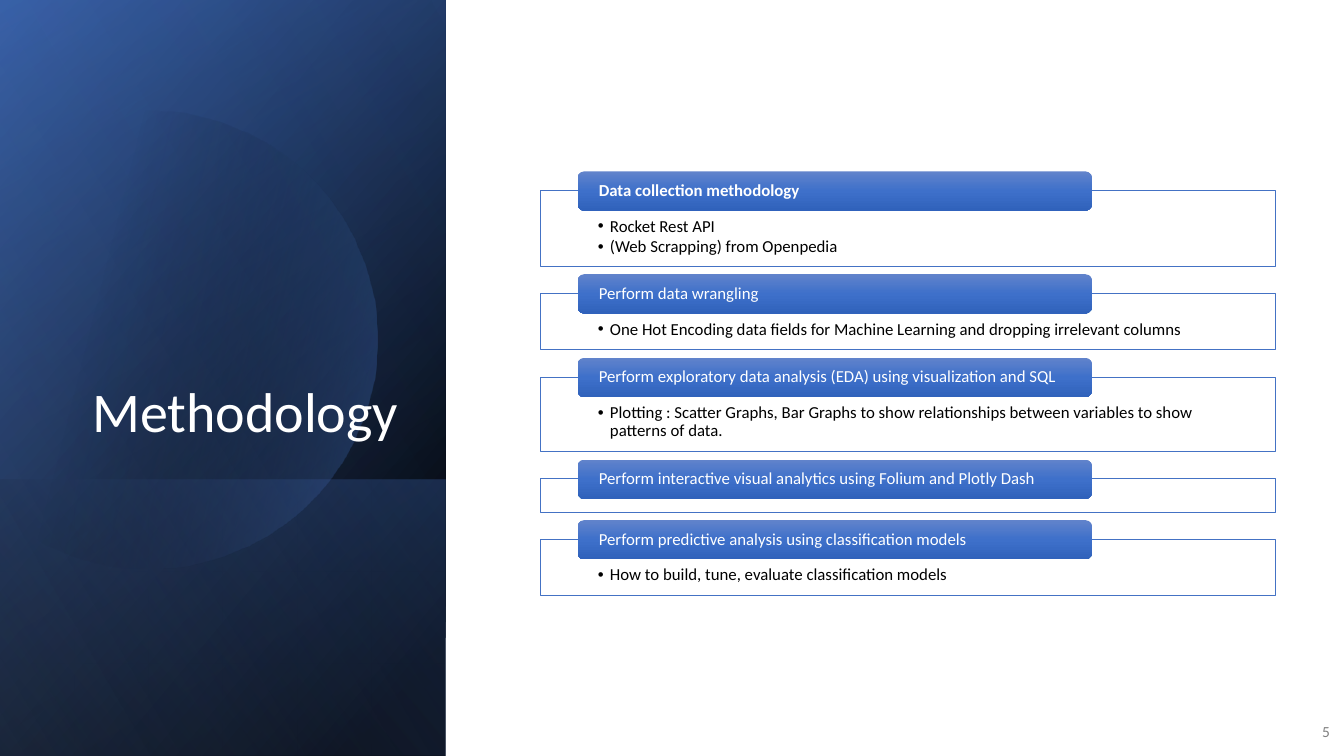
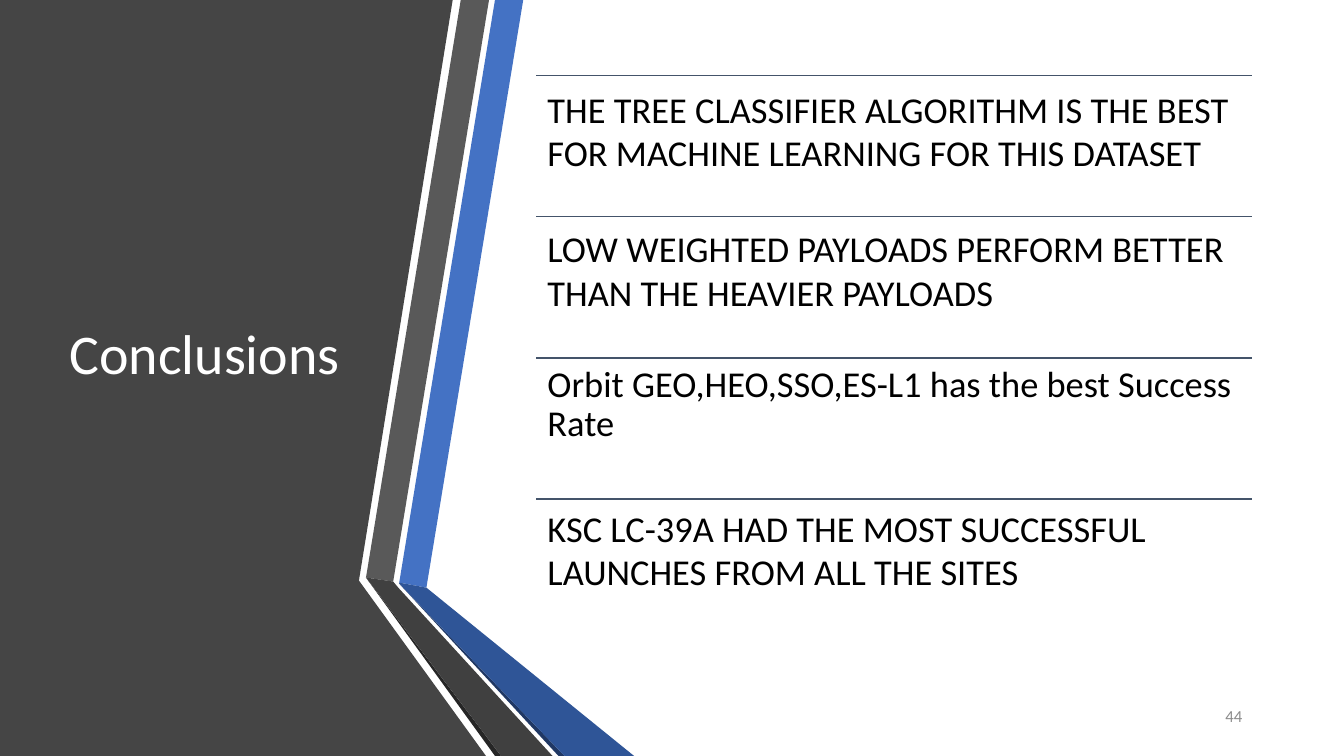
from math import cos, radians, sin

from lxml.etree import SubElement
from pptx import Presentation
from pptx.dml.color import RGBColor
from pptx.enum.shapes import MSO_CONNECTOR, MSO_SHAPE
from pptx.enum.text import MSO_ANCHOR, MSO_AUTO_SIZE, PP_ALIGN
from pptx.oxml.ns import qn
from pptx.util import Emu, Pt

PX = 9144
PX_PER_POINT = 100 / 72
WIDTH, HEIGHT = 1333, 750
FONT = "Calibri"
LINE_HEIGHT = 1.22
WHITE, BLACK, BLUE, NAVY = "FFFFFF", "000000", "4472C4", "2F5597"
TITLE_ONLY, TITLE_AND_BODY = 5, 1

SIDE_WIDTH = 442
SIDE_GRADIENTS = [
    (0, [(8, BLACK, 100), (100, NAVY, 100)], 220),
    (0, [(0, BLACK, 0), (99, BLUE, 46)], 240),
    (476, [(2, BLUE, 29), (100, BLACK, 30)], 140),
]
SIDE_SHEEN = [(0, BLACK, 0), (99, "8FAADC", 11)]
DISC_GRADIENT = [(29, BLACK, 0), (100, BLUE, 43)]
TAB_GRADIENT = [(0, "6183CB", 100), (50, "3E70CA", 100), (100, "3062BB", 100)]

STEPS = [
    ("Data collection methodology", 75, True,
     ["Rocket Rest API", "(Web Scrapping) from Openpedia"]),
    ("Perform data wrangling", 56, False,
     ["One Hot Encoding data fields for Machine Learning and dropping irrelevant columns"]),
    ("Perform exploratory data analysis (EDA) using visualization and SQL", 74, False,
     ["Plotting : Scatter Graphs, Bar Graphs to show relationships between variables "
      "to show patterns of data."]),
    ("Perform interactive visual analytics using Folium and Plotly Dash", 33, False, []),
    ("Perform predictive analysis using classification models", 56, False,
     ["How to build, tune, evaluate classification models"]),
]

RIBBONS = [
    ("454545", [(0, 0), (449, 0), (356, 576), (482, 750), (0, 750)]),
    (BLUE, [(396, 578), (423, 583), (519, 0), (491, 0)]),
    ("595959", [(485, 0), (457, 0), (363, 573), (390, 577)]),
    ("262626", [(363, 573), (491, 750), (497, 750)]),
    ("203864", [(396, 579), (554, 750), (560, 750)]),
    (NAVY, [(396, 578), (396, 579), (560, 750), (629, 750), (423, 583)]),
    ("404040", [(363, 573), (497, 750), (548, 750), (395, 583), (390, 577)]),
]

CONCLUSIONS = [
    ("THE TREE CLASSIFIER ALGORITHM IS THE BEST FOR MACHINE LEARNING FOR THIS DATASET", 1.0),
    ("LOW WEIGHTED PAYLOADS PERFORM BETTER THAN THE HEAVIER PAYLOADS", 1.0),
    ("Orbit GEO,HEO,SSO,ES-L1 has the best Success Rate", 0.9),
    ("KSC LC-39A HAD THE MOST SUCCESSFUL LAUNCHES FROM ALL THE SITES", 1.0),
]


def px(length):
    """Turn a length in px into EMU."""
    return Emu(round(length * PX))


def color(value):
    """Turn a hex string into a colour."""
    return RGBColor.from_string(value)


def assign(target, values):
    """Set each attribute of the target from a dict."""
    for name, value in values.items():
        setattr(target, name, value)


class Deck:
    """Holds the shared style and the current page."""

    def __init__(self):
        """Start an empty wide deck."""
        self.deck = Presentation()
        assign(self.deck, {"slide_width": px(WIDTH), "slide_height": px(HEIGHT)})
        self.page = None

    def add_page(self, layout):
        """Add a page and make it current."""
        self.page = self.deck.slides.add_slide(self.deck.slide_layouts[layout])

    def finish(self, shape, fill=None, gradient=None, angle=0, line=None):
        """Give a shape a flat or gradient fill and a thin line or none."""
        shape.shadow.inherit = False
        if gradient:
            self.blend(shape, gradient, angle)
        else:
            shape.fill.solid()
            shape.fill.fore_color.rgb = color(fill)
        if line:
            shape.line.color.rgb = color(line)
            shape.line.width = Pt(0.5)
        else:
            shape.line.fill.background()
        return shape

    def blend(self, shape, stops, angle):
        """Fill a shape with gradient stops of position, colour and opacity."""
        shape.fill.background()
        properties = shape._element.spPr
        blank = properties.find(qn("a:noFill"))
        gradient = SubElement(properties, qn("a:gradFill"), rotWithShape="1")
        stop_list = SubElement(gradient, qn("a:gsLst"))
        for position, value, opacity in stops:
            stop = SubElement(stop_list, qn("a:gs"), pos=str(position * 1000))
            tone = SubElement(stop, qn("a:srgbClr"), val=value)
            if opacity < 100:
                SubElement(tone, qn("a:alpha"), val=str(opacity * 1000))
        SubElement(gradient, qn("a:lin"), ang=str(angle * 60000), scaled="0")
        properties.replace(blank, gradient)

    def shape(self, kind, left, top, width, height, **style):
        """Add a preset shape."""
        box = self.page.shapes.add_shape(kind, px(left), px(top), px(width), px(height))
        return self.finish(box, **style)

    def outline(self, points, **style):
        """Add a closed freeform through the points."""
        builder = self.page.shapes.build_freeform(*points[0], scale=PX)
        builder.add_line_segments(points[1:], close=True)
        return self.finish(builder.convert_to_shape(), **style)

    def rule(self, left, top, width):
        """Add a horizontal line."""
        line = self.page.shapes.add_connector(
            MSO_CONNECTOR.STRAIGHT, px(left), px(top), px(left + width), px(top))
        line.line.color.rgb = color("44546A")
        line.line.width = Pt(1)
        SubElement(line._element.spPr, qn("a:effectLst"))

    def frame(self, box, anchor, insets):
        """Set the anchor and the insets of a box."""
        names = ("margin_left", "margin_top", "margin_right", "margin_bottom")
        assign(box.text_frame, {
            "word_wrap": True, "auto_size": MSO_AUTO_SIZE.NONE, "vertical_anchor": anchor,
            **{name: px(inset) for name, inset in zip(names, insets)}})

    def text(self, box, text, size, tone, bold=False, align=PP_ALIGN.LEFT,
             spacing=1.0, after=0, bullet=False):
        """Add one paragraph to a box, using its empty first one if there is one."""
        frame = box.text_frame
        para = frame.add_paragraph() if frame.text else frame.paragraphs[0]
        settings = para._p.get_or_add_pPr()
        indent = px(12) if bullet else 0
        settings.set("marL", str(indent))
        settings.set("indent", str(-indent))
        if bullet:
            SubElement(settings, qn("a:buFont"), typeface="Arial")
            SubElement(settings, qn("a:buChar"), char="•")
        else:
            SubElement(settings, qn("a:buNone"))
        assign(para, {"alignment": align, "line_spacing": spacing,
                      "space_before": Pt(0), "space_after": Pt(after)})
        span = para.add_run()
        span.text = text
        assign(span.font, {"name": FONT, "size": Pt(size), "bold": bold})
        span.font.color.rgb = color(tone)

    def place(self, holder, left, top, width, height):
        """Move a placeholder and bring it to the front."""
        assign(holder, {"left": px(left), "top": px(top),
                        "width": px(width), "height": px(height)})
        self.page.shapes._spTree.append(holder._element)

    def title(self, text, area, anchor, align):
        """Fill the title placeholder."""
        holder = self.page.shapes.title
        self.place(holder, *area)
        self.frame(holder, anchor, (10, 5, 10, 5))
        self.text(holder, text, 40, WHITE, align=align, spacing=0.9, after=6)

    def number(self, text, area, size, tone):
        """Add the page number."""
        box = self.page.shapes.add_textbox(*map(px, area))
        self.frame(box, MSO_ANCHOR.MIDDLE, (10, 5, 10, 5))
        self.text(box, text, size, tone, align=PP_ALIGN.RIGHT, after=6)

    def step(self, top, height, heading, bold, details):
        """Add a bordered panel with its heading tab."""
        panel = self.shape(MSO_SHAPE.RECTANGLE, 536, top, 729, height, fill=WHITE, line=BLUE)
        self.frame(panel, MSO_ANCHOR.TOP, (57, 27, 57, 9))
        for detail in details:
            self.text(panel, detail, 12, BLACK, spacing=0.9, after=1.8, bullet=True)
        tab = self.shape(MSO_SHAPE.ROUNDED_RECTANGLE, 573, top - 19, 510, 39,
                         gradient=TAB_GRADIENT, angle=90)
        self.frame(tab, MSO_ANCHOR.MIDDLE, (19, 0, 19, 0))
        self.text(tab, heading, 12, WHITE, bold=bold, spacing=0.9)

    def statements(self, items, left, top, width, pitch, size):
        """Set ruled two-line statements in the body placeholder."""
        holder = self.page.placeholders[1]
        self.place(holder, left, top, width, pitch * len(items))
        self.frame(holder, MSO_ANCHOR.TOP, (11, 11, 11, 11))
        for index, (text, spacing) in enumerate(items):
            self.rule(left, top + index * pitch, width)
            gap = pitch / PX_PER_POINT - 2 * size * LINE_HEIGHT * spacing
            self.text(holder, text, size, BLACK, spacing=spacing, after=gap)


def add_methodology(deck):
    """Build the page with the five steps."""
    deck.add_page(TITLE_ONLY)
    for top, stops, angle in SIDE_GRADIENTS:
        deck.shape(MSO_SHAPE.RECTANGLE, 0, top, SIDE_WIDTH, HEIGHT - top,
                   gradient=stops, angle=angle)
    arc = [(max(0, round(147 + 227 * cos(radians(turn)))), round(337 + 227 * sin(radians(turn))))
           for turn in range(-130, 131, 2)]
    deck.outline(arc, gradient=DISC_GRADIENT, angle=14)
    deck.shape(MSO_SHAPE.RECTANGLE, 0, 0, SIDE_WIDTH, HEIGHT, gradient=SIDE_SHEEN, angle=150)
    deck.title("Methodology", (64, 184, 341, 262), MSO_ANCHOR.BOTTOM, PP_ALIGN.RIGHT)
    deck.number("5", (1280, 706, 49, 40), 11, "808080")
    top = 189
    for heading, height, bold, details in STEPS:
        deck.step(top, height, heading, bold, details)
        top += height + 27


def add_conclusions(deck):
    """Build the page with the four conclusions."""
    deck.add_page(TITLE_AND_BODY)
    for tone, points in RIBBONS:
        deck.outline(points, fill=tone)
    deck.title("Conclusions", (59, 75, 304, 558), MSO_ANCHOR.MIDDLE, PP_ALIGN.LEFT)
    deck.number("44", (1123, 690, 119, 40), 12, "8C8C8C")
    deck.statements(CONCLUSIONS, 532, 75, 710, 140, 26)


def main():
    """Build and save the deck."""
    deck = Deck()
    add_methodology(deck)
    add_conclusions(deck)
    deck.deck.save("out.pptx")


if __name__ == "__main__":
    main()
